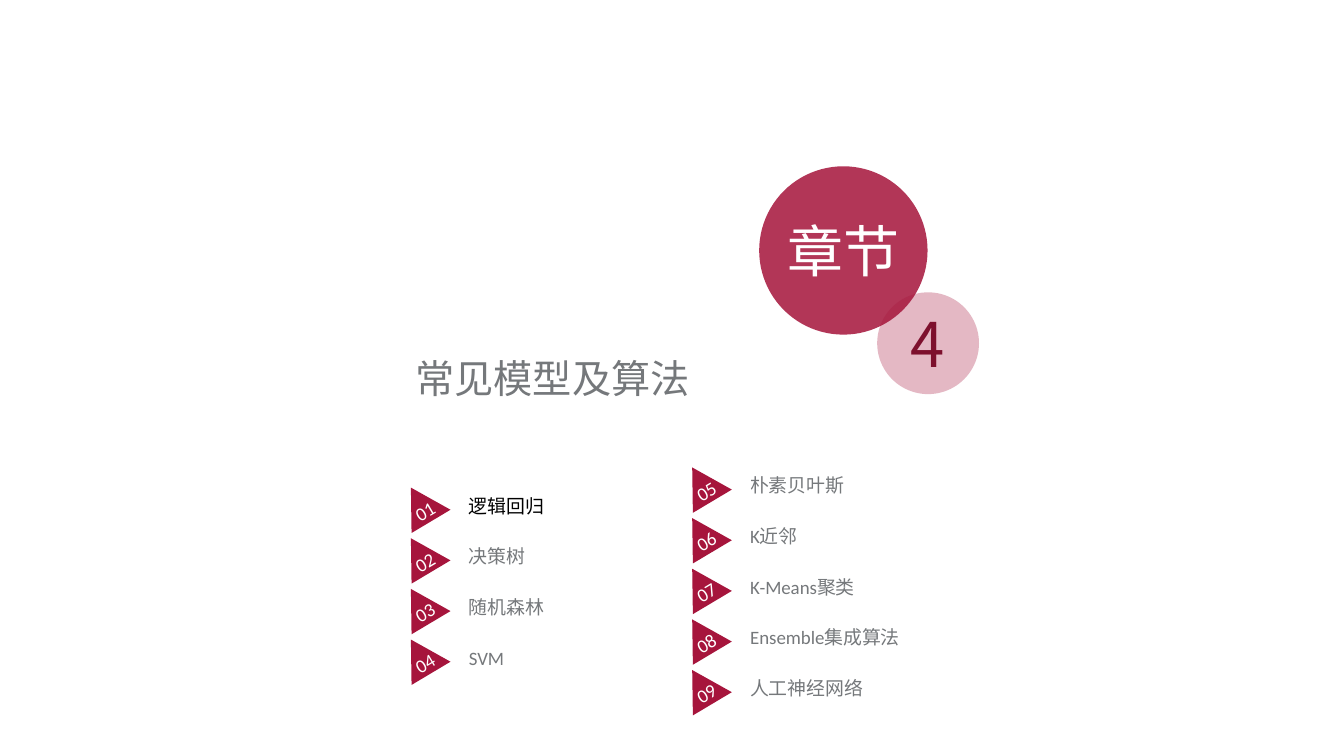
"""Build the chapter divider slide with its numbered list of models."""
from dataclasses import dataclass

from lxml import etree
from pptx import Presentation
from pptx import util as u
from pptx.enum import shapes, text
from pptx.dml.color import RGBColor
from pptx.oxml import ns

COLORS = {"crimson": "A6153C", "wine": "7D102D", "gray": "75787B", "white": "FFFFFF", "black": "000000"}
CJK_FONT, LATIN_FONT = "Noto Sans CJK SC", "Calibri"
PITCH = 2.01 / 4
MARKER_WIDTH, MARKER_HEIGHT, MARKER_ANGLE = 0.45, 0.39, 329.2


@dataclass
class TextStyle:
    size: float
    color: str
    font: str = LATIN_FONT
    align: text.PP_ALIGN = text.PP_ALIGN.LEFT
    anchor: text.MSO_ANCHOR = text.MSO_ANCHOR.MIDDLE
    margins: tuple[float, float, float, float] = (0, 0, 0, 0)
    line_spacing: float = 1.0


@dataclass
class Circle:
    caption: str
    left: float
    top: float
    diameter: float
    opacity: int
    style: TextStyle


@dataclass
class Column:
    left: float
    top: float
    first_number: int
    topics: list[str]


CENTER = text.PP_ALIGN.CENTER
TITLE_STYLE = TextStyle(28, "gray", CJK_FONT, text.PP_ALIGN.JUSTIFY, text.MSO_ANCHOR.TOP,
                        (0.1, 0.05, 0.1, 0.05), 1.1)
MARKER_STYLE = TextStyle(13.5, "white", align=CENTER, margins=(0, 0.15, 0, 0))
CIRCLES = [
    Circle("章节", 7.53, 1.65, 1.67, 86, TextStyle(40, "white", CJK_FONT, CENTER)),
    Circle("4", 8.7, 2.9, 1.01, 30, TextStyle(44, "wine", CJK_FONT, CENTER)),
]
COLUMNS = [
    Column(4.65, 4.83, 1, ["逻辑回归", "决策树", "随机森林", "SVM"]),
    Column(7.44, 4.63, 5, ["朴素贝叶斯", "K近邻", "K-Means聚类", "Ensemble集成算法", "人工神经网络"]),
]
CURRENT_TOPIC = 1


def rgb(name: str) -> RGBColor:
    """Return the named colour."""
    return RGBColor.from_string(COLORS[name])


def write_text(box, words: str, style: TextStyle) -> None:
    """Put one styled paragraph into a shape."""
    frame = box.text_frame
    left, top, right, bottom = map(u.Inches, style.margins)
    frame_format = {"word_wrap": True, "auto_size": text.MSO_AUTO_SIZE.NONE,
                    "vertical_anchor": style.anchor, "margin_left": left,
                    "margin_top": top, "margin_right": right, "margin_bottom": bottom}
    for name, value in frame_format.items():
        setattr(frame, name, value)
    para = frame.paragraphs[0]
    para.alignment = style.align
    para.line_spacing = style.line_spacing
    span = para.add_run()
    span.text = words
    for name, value in {"size": u.Pt(style.size), "name": style.font, "bold": False}.items():
        setattr(span.font, name, value)
    span.font.color.rgb = rgb(style.color)
    east_asian = etree.SubElement(span.font._element, ns.qn("a:ea"))
    east_asian.set("typeface", CJK_FONT)


def paint(shape, opacity: int = 100) -> None:
    """Fill a shape with crimson, without outline or shadow."""
    shape.shadow.inherit = False
    shape.fill.solid()
    shape.fill.fore_color.rgb = rgb("crimson")
    shape.line.fill.background()
    if opacity < 100:
        color = shape._element.spPr.find(".//" + ns.qn("a:srgbClr"))
        etree.SubElement(color, ns.qn("a:alpha")).set("val", str(opacity * 1000))


def add_circle(page, circle: Circle) -> None:
    """Draw a translucent circle with its caption."""
    diameter = u.Inches(circle.diameter)
    shape = page.shapes.add_shape(shapes.MSO_SHAPE.OVAL, u.Inches(circle.left),
                                  u.Inches(circle.top), diameter, diameter)
    paint(shape, circle.opacity)
    write_text(shape, circle.caption, circle.style)


def add_marker(page, left: float, top: float, number: int) -> None:
    """Draw a tilted triangle that holds a topic number."""
    bottom = top + MARKER_HEIGHT
    apex, *base = [(u.Inches(x), u.Inches(y)) for x, y in (
        (left + MARKER_WIDTH / 2, top), (left + MARKER_WIDTH, bottom), (left, bottom))]
    builder = page.shapes.build_freeform(*apex)
    builder.add_line_segments(base, close=True)
    marker = builder.convert_to_shape()
    marker.rotation = MARKER_ANGLE
    paint(marker)
    write_text(marker, f"{number:02d}", MARKER_STYLE)


def add_column(page, column: Column) -> None:
    """Draw one column of numbered topics."""
    for row, topic in enumerate(column.topics):
        number = column.first_number + row
        top = column.top + row * PITCH
        label = page.shapes.add_textbox(u.Inches(column.left), u.Inches(top),
                                        u.Inches(3.03), u.Inches(0.37))
        color = "black" if number == CURRENT_TOPIC else "gray"
        write_text(label, topic, TextStyle(13.5, color))
        add_marker(page, column.left - 0.7, top - 0.02, number)


def main() -> None:
    """Assemble and save the deck."""
    deck = Presentation()
    deck.slide_width, deck.slide_height = u.Inches(13.33), u.Inches(7.5)
    page = deck.slides.add_slide(deck.slide_layouts.get_by_name("Title Only"))
    title = page.shapes.title
    place = {"left": 4.02, "top": 3.42, "width": 4.68, "height": 2.77}
    for name, value in place.items():
        setattr(title, name, u.Inches(value))
    write_text(title, "常见模型及算法", TITLE_STYLE)
    for circle in CIRCLES:
        add_circle(page, circle)
    for column in COLUMNS:
        add_column(page, column)
    deck.save("out.pptx")


if __name__ == "__main__":
    main()
